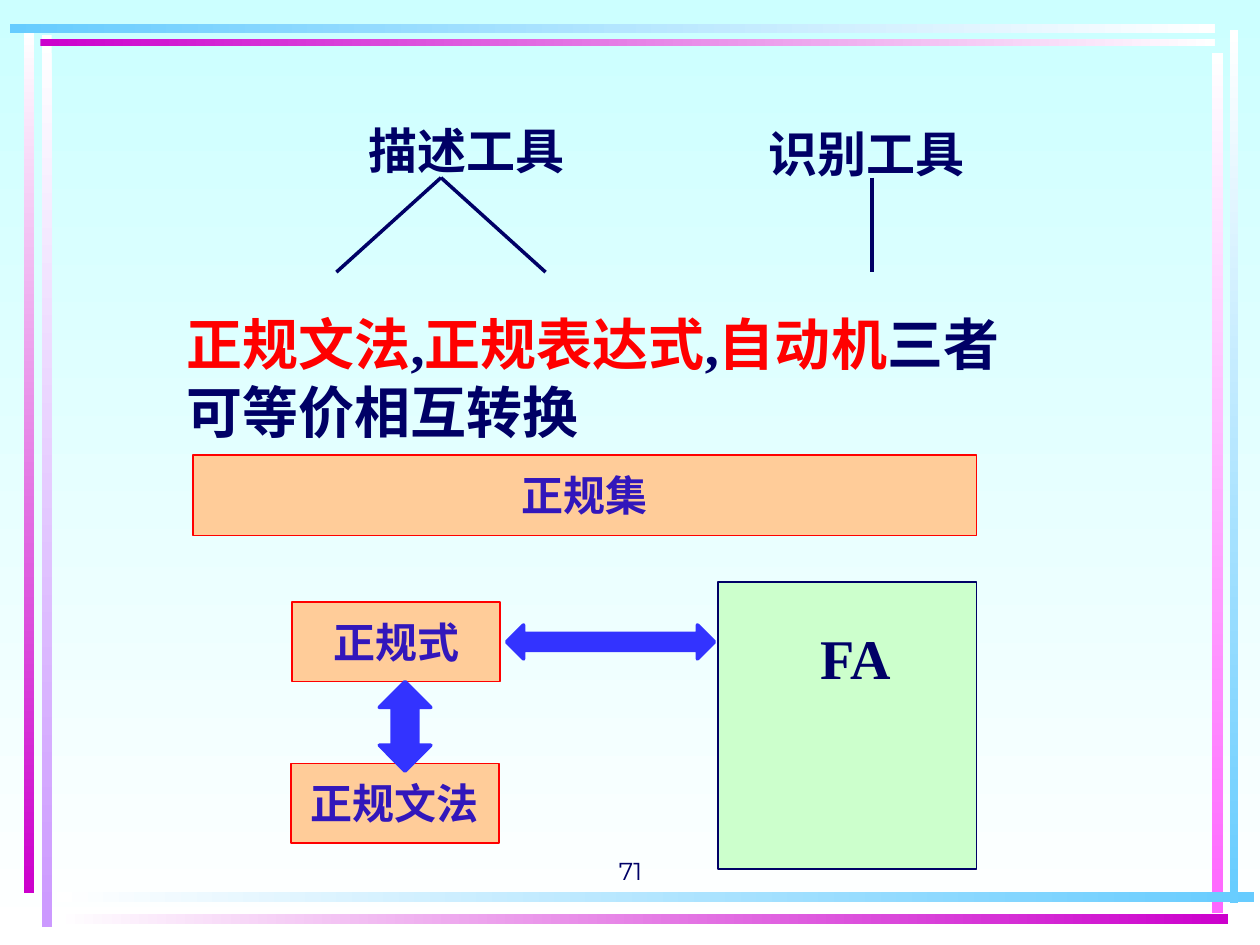
from dataclasses import dataclass

from lxml.etree import SubElement
from pptx import Presentation
from pptx.dml.color import RGBColor
from pptx.enum.shapes import MSO_CONNECTOR, MSO_SHAPE
from pptx.enum.text import MSO_ANCHOR, PP_ALIGN
from pptx.oxml.ns import qn
from pptx.util import Inches, Pt


@dataclass(frozen=True)
class Theme:
    navy: str = "000066"
    red: str = "FF0000"
    violet: str = "3217BB"
    blue: str = "3333FF"
    peach: str = "FFCC99"
    mint: str = "CCFFCC"
    white: str = "FFFFFF"
    aqua: str = "CCFFFF"
    sky: str = "66CCFF"
    plum: str = "CC00CC"
    lilac: str = "CC99FF"
    pink: str = "FF66FF"
    serif: str = "Times New Roman"
    hei: str = "Noto Sans CJK SC"
    sans: str = "Montserrat"
    big: int = 32
    head: int = 28
    label: int = 24
    small: int = 14


T = Theme()


def rgb(code):
    return RGBColor.from_string(code)


def blend(fill, start, end, down):
    fill.gradient()
    fill.gradient_angle = 270 if down else 0
    for stop, code in zip(fill.gradient_stops, (start, end)):
        stop.color.rgb = rgb(code)


def add_box(slide, kind, box, fill=None, line=None, width=1):
    shape = slide.shapes.add_shape(kind, *map(Inches, box))
    shape.shadow.inherit = False
    if fill:
        shape.fill.solid()
        shape.fill.fore_color.rgb = rgb(fill)
    if line:
        shape.line.color.rgb = rgb(line)
        shape.line.width = Pt(width)
    else:
        shape.line.fill.background()
    return shape


def style(para, size, name, color=None, bold=True):
    font = para.font
    font.size, font.name, font.bold = Pt(size), name, bold
    if color:
        font.color.rgb = rgb(color)
    props = para._p.pPr.find(qn("a:defRPr"))
    SubElement(props, qn("a:ea")).set("typeface", T.hei)


def add_text(slide, box, runs, size, name=T.serif, bold=True):
    """Place one paragraph of (text, colour) runs and return its frame."""
    frame = slide.shapes.add_textbox(*map(Inches, box)).text_frame
    frame.word_wrap = True
    para = frame.paragraphs[0]
    shared = runs[0][1] if len(runs) == 1 else None
    style(para, size, name, shared, bold)
    for text, color in runs:
        run = para.add_run()
        run.text = text
        if not shared:
            run.font.color.rgb = rgb(color)
    return frame


def add_frame(slide):
    # Gradient rails along the four edges
    rails = [
        ((0.33, 0.28, 0.08, 7.08), T.white, T.lilac),
        ((0.19, 0.25, 0.08, 6.84), T.white, T.plum),
        ((9.76, 0.24, 0.07, 6.93), T.white, T.sky),
        ((9.62, 0.42, 0.09, 6.83), T.white, T.pink),
        ((0.45, 7.08, 9.5, 0.08), T.white, T.sky),
        ((0.45, 7.25, 9.3, 0.08), T.white, T.plum),
        ((0.32, 0.31, 9.32, 0.06), T.plum, T.white),
        ((0.08, 0.19, 9.56, 0.07), T.sky, T.white),
    ]
    for box, start, end in rails:
        rail = add_box(slide, MSO_SHAPE.RECTANGLE, box)
        blend(rail.fill, start, end, down=box[3] > box[2])


def add_tool(slide, box, text, root, feet):
    # Heading with branches running down to the terms below it
    add_text(slide, box, [(text, T.navy)], T.head)
    top, low = 1.41, 2.16
    for foot in feet:
        ends = map(Inches, (root, top, foot, low))
        branch = slide.shapes.add_connector(MSO_CONNECTOR.STRAIGHT, *ends)
        branch.line.color.rgb = rgb(T.navy)
        branch.line.width = Pt(2)
        SubElement(branch._element.spPr, qn("a:effectLst"))


def add_claim(slide, box):
    runs = [("正规文法", T.red), (",", T.navy), ("正规表达式", T.red),
            (",", T.navy), ("自动机", T.red), ("三者可等价相互转换", T.navy)]
    add_text(slide, box, runs, T.big)


def add_label(slide, box, text):
    frame = add_box(slide, MSO_SHAPE.RECTANGLE, box, T.peach, T.red).text_frame
    frame.margin_left = frame.margin_right = 0
    frame.margin_top = frame.margin_bottom = 0
    frame.word_wrap = False
    frame.vertical_anchor = MSO_ANCHOR.MIDDLE
    para = frame.paragraphs[0]
    para.alignment = PP_ALIGN.CENTER
    style(para, T.label, T.hei, T.violet)
    para.add_run().text = text


def add_chart(slide, box):
    # Regular set on top, then the three equivalent forms
    x, y, w, h = box
    add_label(slide, (x, y, w, 0.64), "正规集")
    add_label(slide, (x + 0.79, y + 1.17, 1.65, 0.63), "正规式")
    add_label(slide, (x + 0.78, y + 2.45, 1.65, 0.63), "正规文法")
    left, top = x + w - 2.05, y + h - 2.28
    add_box(slide, MSO_SHAPE.RECTANGLE, (left, top, 2.05, 2.28), T.mint, T.navy)
    add_text(slide, (left + 0.71, top + 0.28, 0.79, 0.6), [("FA", T.navy)], T.big)

    # Two-way arrows
    for kind, spot in (
        (MSO_SHAPE.UP_DOWN_ARROW, (x + 1.48, y + 1.8, 0.41, 0.71)),
        (MSO_SHAPE.LEFT_RIGHT_ARROW, (x + 2.49, y + 1.35, 1.65, 0.27)),
    ):
        arrow = add_box(slide, kind, spot, T.blue, T.blue, 2)
        arrow.adjustments[0] = arrow.adjustments[1] = 0.5


def add_page(slide, box, number):
    frame = add_text(slide, box, [(number, T.navy)], T.small, T.sans, False)
    frame.vertical_anchor = MSO_ANCHOR.BOTTOM
    frame.paragraphs[0].alignment = PP_ALIGN.CENTER


def main():
    deck = Presentation()
    deck.slide_width, deck.slide_height = Inches(10), Inches(7.5)
    slide = deck.slides.add_slide(deck.slide_layouts[6])
    blend(slide.background.fill, T.aqua, T.white, down=True)
    add_frame(slide)
    add_page(slide, (3.42, 6.58, 3.17, 0.5), "71")
    add_tool(slide, (2.83, 0.91, 1.92, 0.57), "描述工具", 3.5, (2.67, 4.33))
    add_tool(slide, (6, 0.93, 1.92, 0.57), "识别工具", 6.92, (6.92,))
    add_claim(slide, (1.38, 2.41, 6.92, 1.17))
    add_chart(slide, (1.53, 3.61, 6.22, 3.29))
    deck.save("out.pptx")


if __name__ == "__main__":
    main()
